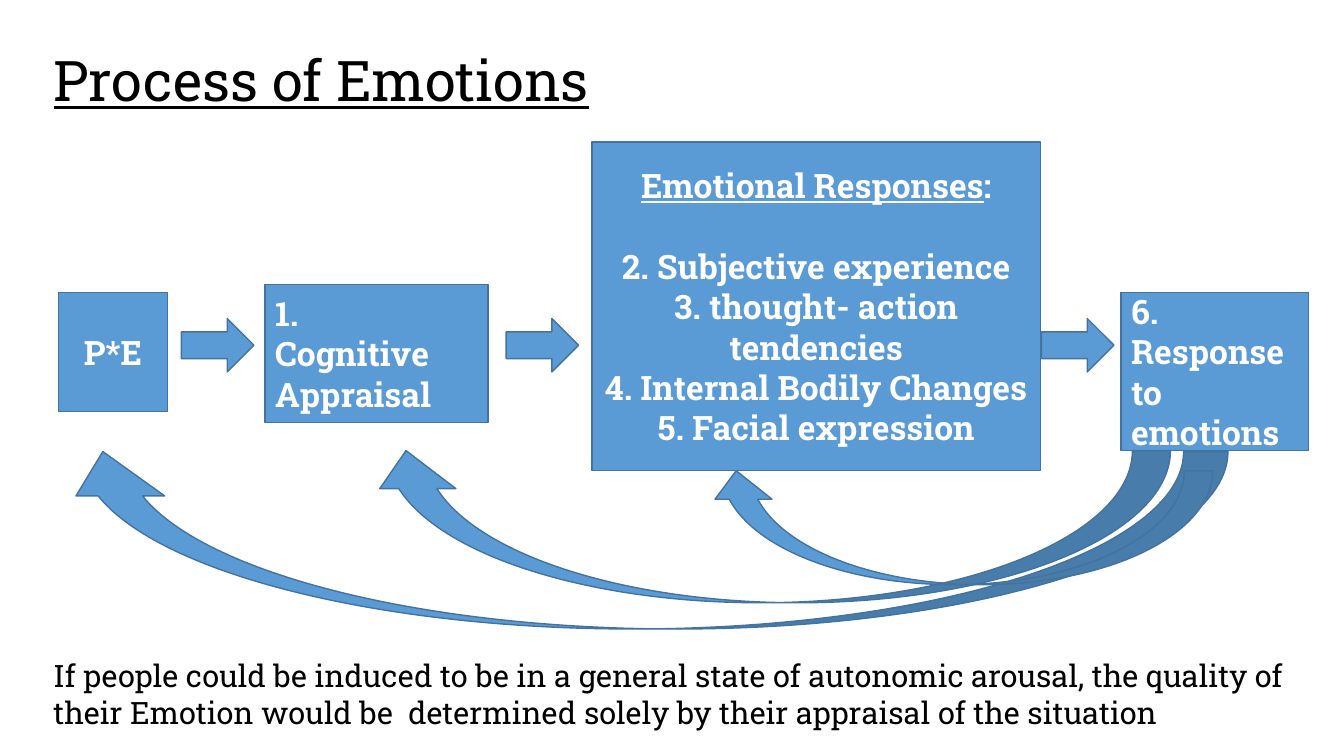
import pptx
import pptx.util
import pptx.dml.color
import pptx.enum.shapes
import pptx.enum.text

SHAPE = pptx.enum.shapes.MSO_SHAPE
ALIGN = pptx.enum.text.PP_ALIGN
ANCHOR = pptx.enum.text.MSO_ANCHOR
COLORS = {"fill": "5B9BD5", "line": "43739E", "light": "FFFFFF", "dark": "000000"}
FONT = "Roboto Slab"
SLIDE_WIDTH, SLIDE_HEIGHT = 13.33, 7.5

TITLE = "Process of Emotions"
TITLE_AREA = (3.23, 4.67, 86.27, 12.8)
CONCLUSION = (
    "If people could be induced to be in a general state of autonomic arousal, "
    "the quality of their Emotion would be  determined solely by their appraisal of the situation"
)
CONCLUSION_AREA = (3.23, 86.27, 95.72, 11.2)
RESPONSE_HEADING = "Emotional Responses"
STAGES = [
    (["P*E"], ALIGN.CENTER, (4.35, 38.67, 8.1, 15.73)),
    (["1.", "Cognitive Appraisal"], ALIGN.LEFT, (19.73, 37.6, 16.58, 18.27)),
    ([RESPONSE_HEADING + ":", "2. Subjective experience", "3. thought- action tendencies",
      "4. Internal Bodily Changes", "5. Facial expression"],
     ALIGN.CENTER, (44.04, 18.8, 33.38, 43.47)),
    (["6.", "Response to emotions"], ALIGN.LEFT, (83.42, 38.67, 13.95, 20.93)),
]
STEP_LEFTS = [13.5, 37.66, 77.49]
STEP_TOP, STEP_WIDTH, STEP_HEIGHT = 42.13, 5.4, 7.07
FEEDBACK_AREAS = [
    (4.35, 59.73, 87.02, 23.47),
    (27.38, 59.6, 59.71, 20.13),
    (52.66, 62.27, 37.58, 15.07),
]


def place(area):
    sizes = (SLIDE_WIDTH, SLIDE_HEIGHT) * 2
    return [pptx.util.Inches(share * size / 100) for share, size in zip(area, sizes)]


def color(name):
    return pptx.dml.color.RGBColor.from_string(COLORS[name])


def write(frame, lines, size=24, ink="light", bold=False, underlined="",
          align=ALIGN.LEFT, anchor=ANCHOR.MIDDLE, gap=28.8):
    frame.word_wrap = True
    frame.vertical_anchor = anchor
    for number, line in enumerate(lines):
        paragraph = frame.add_paragraph() if number else frame.paragraphs[0]
        paragraph.alignment = align
        pieces = [(line, False)]
        if underlined and line.startswith(underlined):
            pieces = [(underlined, True), (line[len(underlined):], False)]
            if len(lines) > 1:
                paragraph.space_after = pptx.util.Pt(gap)
        for text, underline in pieces:
            if text:
                run = paragraph.add_run()
                run.text = text
                run.font.name = FONT
                run.font.size = pptx.util.Pt(size)
                run.font.bold = bold
                run.font.underline = underline
                run.font.color.rgb = color(ink)


def add_block(slide, kind, area):
    block = slide.shapes.add_shape(kind, *place(area))
    block.shadow.inherit = False
    block.fill.solid()
    block.fill.fore_color.rgb = color("fill")
    block.line.color.rgb = color("line")
    block.line.width = pptx.util.Pt(1)
    return block


def main():
    deck = pptx.Presentation()
    deck.slide_width = pptx.util.Inches(SLIDE_WIDTH)
    deck.slide_height = pptx.util.Inches(SLIDE_HEIGHT)
    slide = deck.slides.add_slide(deck.slide_layouts[5])

    title = slide.shapes.title
    title.left, title.top, title.width, title.height = place(TITLE_AREA)
    write(title.text_frame, [TITLE], size=40, ink="dark", underlined=TITLE)
    title.text_frame.paragraphs[0].line_spacing = 0.9

    for lines, align, area in STAGES:
        stage = add_block(slide, SHAPE.RECTANGLE, area)
        write(stage.text_frame, lines, bold=True, underlined=RESPONSE_HEADING, align=align)

    for left in STEP_LEFTS:
        add_block(slide, SHAPE.RIGHT_ARROW, (left, STEP_TOP, STEP_WIDTH, STEP_HEIGHT))

    for area in FEEDBACK_AREAS:
        feedback = add_block(slide, SHAPE.CURVED_UP_ARROW, area)
        feedback._element.spPr.xfrm.set("flipH", "1")

    conclusion = slide.shapes.add_textbox(*place(CONCLUSION_AREA))
    write(conclusion.text_frame, [CONCLUSION], size=22, ink="dark", anchor=ANCHOR.TOP)
    deck.save("out.pptx")


if __name__ == "__main__":
    main()
